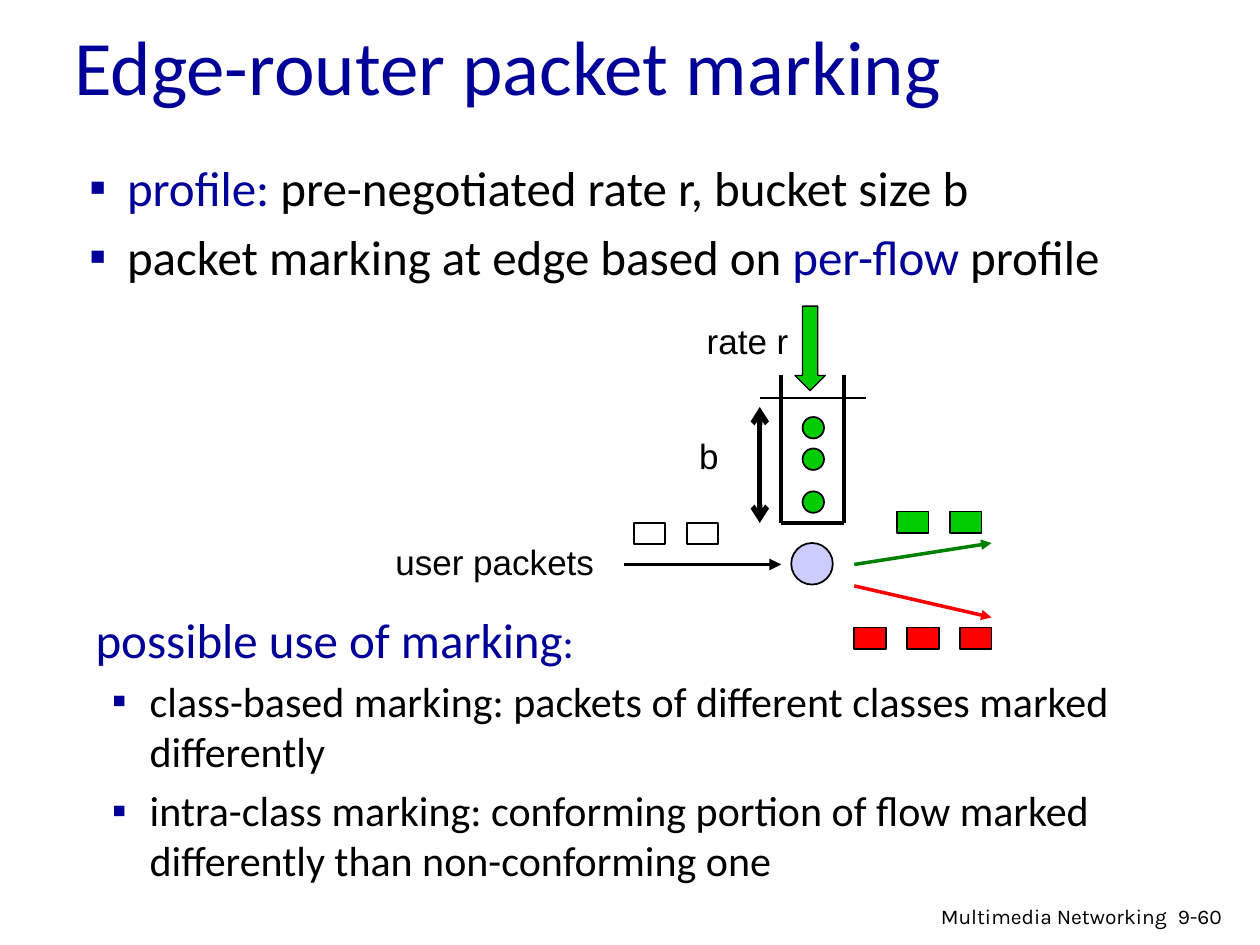
"""Build the slide on edge-router packet marking."""
from typing import Any, NamedTuple

import pptx
import pptx.dml.color
import pptx.enum.shapes
import pptx.enum.text
import pptx.oxml.ns
import pptx.slide
import pptx.util
from lxml import etree

Inches = pptx.util.Inches
Pt = pptx.util.Pt
Kind = pptx.enum.shapes.MSO_SHAPE
Align = pptx.enum.text.PP_ALIGN
Anchor = pptx.enum.text.MSO_ANCHOR

NAVY, BLACK, WHITE = "000099", "000000", "FFFFFF"
GREEN, RED, LILAC, FOREST = "00CC00", "FF0000", "CCCCFF", "008000"


class Run(NamedTuple):
    text: str
    size: float
    color: str = BLACK
    font: str = "Calibri"


class Label(NamedTuple):
    box: tuple[float, float, float, float]
    paras: list[list[Run]]
    bullet: bool = False
    align: Any = Align.LEFT
    anchor: Any = Anchor.TOP


class Form(NamedTuple):
    kind: Any
    box: tuple[float, float, float, float]
    fill: str
    width: float = 1


class Line(NamedTuple):
    start: tuple[float, float]
    end: tuple[float, float]
    width: float = 2.25
    color: str = BLACK
    head: str = ""
    tail: str = ""


LABELS = [
    Label((0.49, 0.14, 8.5, 0.75),
          [[Run("Edge-router packet marking", 44, NAVY)]],
          anchor=Anchor.MIDDLE),
    Label((0.79, 5.31, 9, 2), [
        [Run("class-based marking: packets of different classes marked "
             "differently", 24)],
        [Run("intra-class marking: conforming portion of flow marked "
             "differently than non-conforming one", 24)],
    ], bullet=True),
    Label((0.61, 1.2, 8.75, 1), [
        [Run("profile: ", 28, NAVY),
         Run("pre-negotiated rate r, bucket size b", 28)],
        [Run("packet marking at edge based on ", 28),
         Run("per-flow ", 28, NAVY), Run("profile", 28)],
    ], bullet=True),
    Label((0.66, 4.79, 4.92, 0.57),
          [[Run("possible use of marking", 28, NAVY), Run(":", 24, NAVY)]]),
    Label((3.04, 4.24, 2.33, 0.43),
          [[Run("user packets", 20, font="Arial")]]),
    Label((5.51, 2.49, 1.25, 0.43), [[Run("rate r", 20, font="Arial")]]),
    Label((5.45, 3.4, 0.38, 0.44), [[Run("b", 20, font="Arial")]]),
    Label((9.25, 7.12, 0.75, 0.3), [[Run("9-60", 12, font="Karla")]]),
    Label((7.2, 7.12, 2.16, 0.28),
          [[Run("Multimedia Networking", 12, font="Karla")]],
          align=Align.RIGHT),
]

ROWS = [(7.12, 4.06, 2, GREEN), (6.78, 4.98, 3, RED), (5.03, 4.15, 2, WHITE)]
FORMS = [
    Form(Kind.RECTANGLE, (left + 0.42 * i, top, 0.25, 0.17), fill)
    for left, top, count, fill in ROWS for i in range(count)
] + [
    Form(Kind.OVAL, (6.37, top, 0.17, 0.17), GREEN)
    for top in (3.31, 3.56, 3.9)
] + [
    Form(Kind.OVAL, (6.28, 4.31, 0.33, 0.33), LILAC),
    Form(Kind.DOWN_ARROW, (6.31, 2.43, 0.24, 0.67), GREEN, 0.75),
]

LINES = [
    Line((x, 3.4), (x, y), width)
    for x in (6.2, 6.7) for y, width in ((4.15, 2.25), (2.98, 2))
] + [
    Line((6.2, 4.15), (6.7, 4.15)),
    Line((4.95, 4.48), (6.2, 4.48), tail="triangle"),
    Line((6.78, 4.65), (7.87, 4.9), 2, RED, tail="triangle"),
    Line((6.78, 4.48), (7.87, 4.31), 2, FOREST, tail="triangle"),
    Line((6.03, 3.16), (6.87, 3.16), 0.75),
    Line((6.03, 3.23), (6.03, 4.15), 3, head="arrow", tail="arrow"),
]


def tint(code: str) -> pptx.dml.color.RGBColor:
    """Turn a hex string into a colour."""
    return pptx.dml.color.RGBColor.from_string(code)


def style(item: Any, values: dict[str, Any]) -> None:
    """Set each format value on the item."""
    for name, value in values.items():
        setattr(item, name, value)


def add(parent: Any, tag: str, **values: str) -> Any:
    """Append a drawing element to the parent."""
    return etree.SubElement(parent, pptx.oxml.ns.qn(tag), values)


def mark(para: Any) -> None:
    """Give the paragraph a hanging square bullet."""
    props = para._p.get_or_add_pPr()
    style(para, {"space_before": Pt(0.2 * para.runs[0].font.size.pt)})
    props.set("marL", str(Inches(0.3)))
    props.set("indent", str(Inches(-0.3)))
    add(add(props, "a:buClr"), "a:srgbClr", val=NAVY)
    add(props, "a:buFont", typeface="Arial")
    add(props, "a:buChar", char="▪")


def write(slide: pptx.slide.Slide, label: Label) -> None:
    """Draw a text box with its styled runs."""
    frame = slide.shapes.add_textbox(*map(Inches, label.box)).text_frame
    style(frame, {"word_wrap": True, "vertical_anchor": label.anchor})
    for i, runs in enumerate(label.paras):
        para = frame.add_paragraph() if i else frame.paragraphs[0]
        para.alignment = label.align
        for part in runs:
            run = para.add_run()
            run.text = part.text
            style(run.font, {"name": part.font, "size": Pt(part.size)})
            run.font.color.rgb = tint(part.color)
        if label.bullet:
            mark(para)


def draw(slide: pptx.slide.Slide, form: Form) -> None:
    """Draw a filled shape with a black outline."""
    shape = slide.shapes.add_shape(form.kind, *map(Inches, form.box))
    shape.shadow.inherit = False
    shape.fill.solid()
    shape.fill.fore_color.rgb = tint(form.fill)
    shape.line.color.rgb = tint(BLACK)
    shape.line.width = Pt(form.width)


def link(slide: pptx.slide.Slide, line: Line) -> None:
    """Draw a straight line with its arrowheads."""
    wire = slide.shapes.add_connector(
        pptx.enum.shapes.MSO_CONNECTOR.STRAIGHT,
        *map(Inches, line.start + line.end))
    wire.line.color.rgb = tint(line.color)
    wire.line.width = Pt(line.width)
    for tag, kind in (("a:headEnd", line.head), ("a:tailEnd", line.tail)):
        if kind:
            add(wire.line._get_or_add_ln(), tag, type=kind)
    add(wire._element.spPr, "a:effectLst")


def main() -> None:
    """Build and save the slide."""
    deck = pptx.Presentation()
    style(deck, {"slide_width": Inches(10), "slide_height": Inches(7.5)})
    slide = deck.slides.add_slide(deck.slide_layouts[6])
    for task, items in ((write, LABELS), (link, LINES), (draw, FORMS)):
        for item in items:
            task(slide, item)
    deck.save("out.pptx")


if __name__ == "__main__":
    main()
